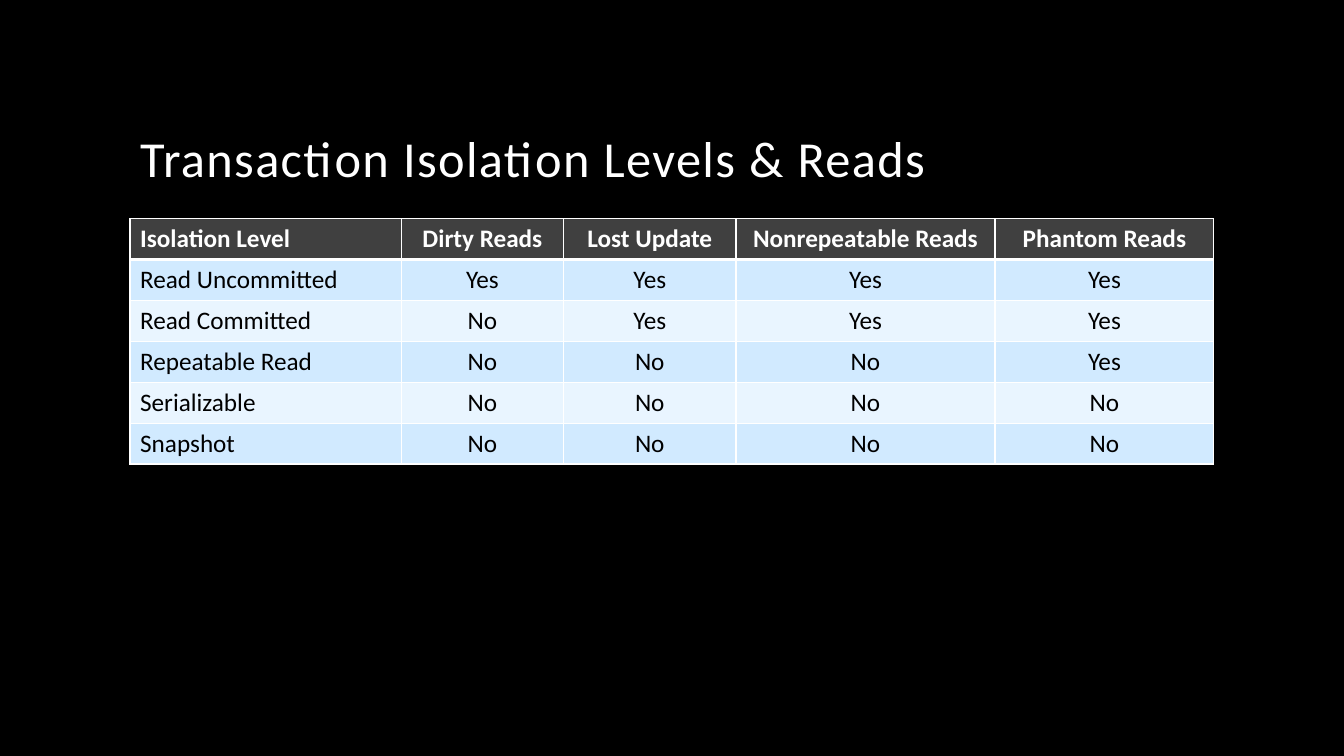
from lxml import etree
from pptx import Presentation
from pptx.dml.color import RGBColor
from pptx.enum import text
from pptx.oxml import ns
from pptx.util import Inches, Pt

TITLE = "Transaction Isolation Levels & Reads"
ROWS = [
    ("Isolation Level", "Dirty Reads", "Lost Update", "Nonrepeatable Reads", "Phantom Reads"),
    ("Read Uncommitted", "Yes", "Yes", "Yes", "Yes"),
    ("Read Committed", "No", "Yes", "Yes", "Yes"),
    ("Repeatable Read", "No", "No", "No", "Yes"),
    ("Serializable", "No", "No", "No", "No"),
    ("Snapshot", "No", "No", "No", "No"),
]
COL_WIDTHS = [2.69, 1.61, 1.71, 2.57, 2.17]
ROW_HEIGHT = 0.405
LEFT, TABLE_TOP = 1.29, 2.17
FONT = "Calibri"
BLACK = RGBColor(0x00, 0x00, 0x00)
WHITE = RGBColor(0xFF, 0xFF, 0xFF)
HEADER = RGBColor(0x40, 0x40, 0x40)
BANDS = [RGBColor(0xE9, 0xF5, 0xFF), RGBColor(0xD1, 0xEA, 0xFF)]


def set_font(font, size, color, bold=False):
    """Apply the slide's typeface with the given size, colour and weight."""
    for name, value in {"name": FONT, "size": Pt(size), "bold": bold}.items():
        setattr(font, name, value)
    font.color.rgb = color


def add_border(cell, side, width):
    """Draw one solid white border on a table cell."""
    tc_pr = cell._tc.get_or_add_tcPr()
    ln = etree.SubElement(tc_pr, ns.qn(f"a:ln{side}"), w=str(Pt(width)))
    fill = etree.SubElement(ln, ns.qn("a:solidFill"))
    etree.SubElement(fill, ns.qn("a:srgbClr"), val=str(WHITE))


def add_title(s):
    """Place and format the slide title."""
    sp = s.shapes.title
    box = {"left": LEFT, "top": 0.42, "width": 10.38, "height": 1.5}
    for name, value in box.items():
        setattr(sp, name, Inches(value))
    tf = sp.text_frame
    tf.word_wrap = True
    tf.auto_size = text.MSO_AUTO_SIZE.NONE
    tf.vertical_anchor = text.MSO_ANCHOR.BOTTOM
    p = tf.paragraphs[0]
    p.alignment = text.PP_ALIGN.LEFT
    p.line_spacing = 0.9
    r = p.add_run()
    r.text = TITLE
    set_font(r.font, 36, WHITE)
    r.font._element.set("spc", "100")


def add_levels_table(s):
    """Add the table of isolation levels with alternating row fills."""
    table = s.shapes.add_table(
        len(ROWS), len(COL_WIDTHS), Inches(LEFT), Inches(TABLE_TOP),
        Inches(sum(COL_WIDTHS)), Inches(ROW_HEIGHT * len(ROWS))).table
    for col, width in zip(table.columns, COL_WIDTHS):
        col.width = Inches(width)
    for i, values in enumerate(ROWS):
        table.rows[i].height = Inches(ROW_HEIGHT)
        is_header = i == 0
        widths = {"L": 1, "R": 1, "T": 3 if i == 1 else 1, "B": 3 if is_header else 1}
        for j, value in enumerate(values):
            cell = table.cell(i, j)
            for side, width in widths.items():
                add_border(cell, side, width)
            cell.fill.solid()
            cell.fill.fore_color.rgb = HEADER if is_header else BANDS[i % 2]
            p = cell.text_frame.paragraphs[0]
            p.alignment = text.PP_ALIGN.CENTER if j else text.PP_ALIGN.LEFT
            r = p.add_run()
            r.text = value
            set_font(r.font, 18, WHITE if is_header else BLACK, is_header)


def main():
    """Build the slide and save it."""
    prs = Presentation()
    prs.slide_width, prs.slide_height = Inches(13.33), Inches(7.5)
    s = prs.slides.add_slide(prs.slide_layouts[5])
    s.background.fill.solid()
    s.background.fill.fore_color.rgb = BLACK
    add_title(s)
    add_levels_table(s)
    prs.save("out.pptx")


if __name__ == "__main__":
    main()
